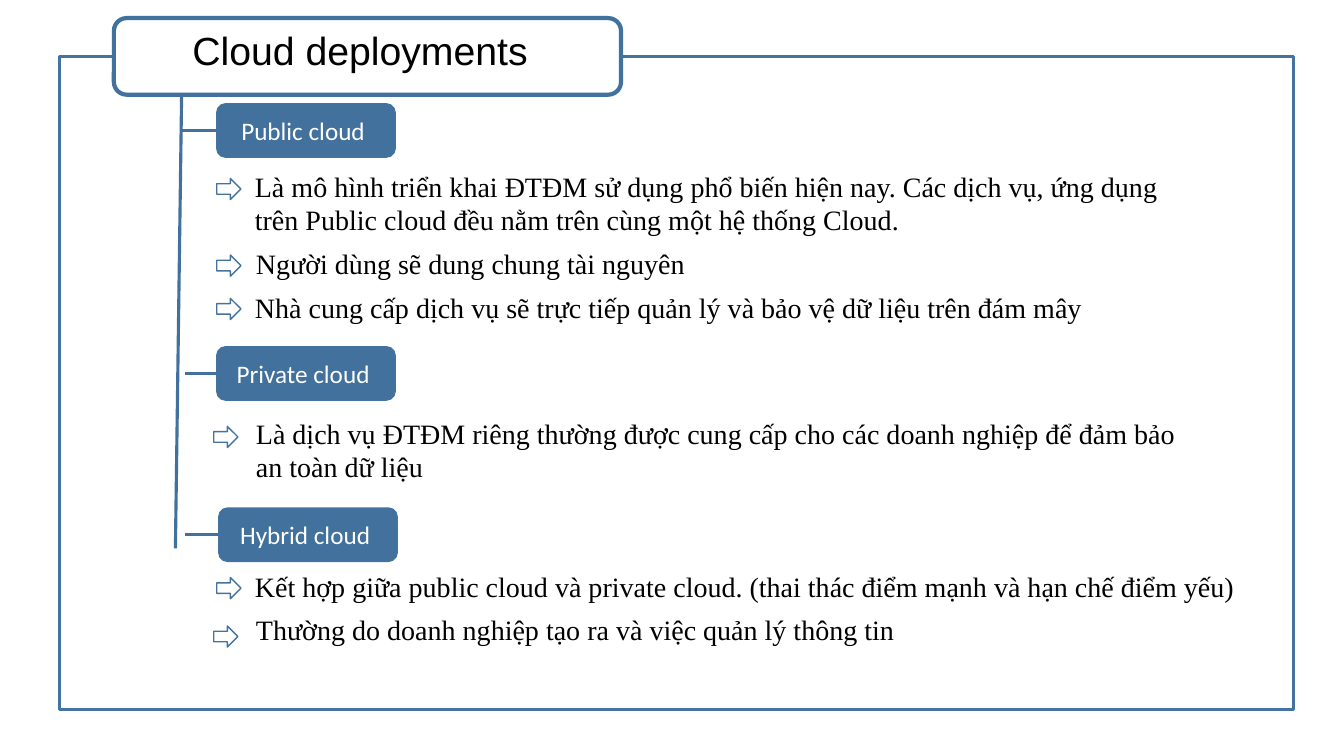
"""Build the slide on cloud deployment models."""
from lxml import etree
from pptx import Presentation
from pptx.dml.color import RGBColor
from pptx.enum.shapes import MSO_CONNECTOR as Link, MSO_SHAPE as Kind
from pptx.enum.text import MSO_ANCHOR as Anchor, MSO_AUTO_SIZE as Fit, PP_ALIGN as Align
from pptx.oxml.ns import qn
from pptx.util import Pt

PX = 9144
BLUE, EDGE, WHITE, BLACK = "41719C", "43739E", "FFFFFF", "000000"
TITLE = "Cloud deployments"
FRAME = (59, 56, 1224, 648)
HEAD = (113, 18, 503, 76)
TRUNK = (181, 31, 174, 544)

# label, (left, top), stub start, [(text, box, arrow left, arrow top)]
GROUPS = [
    ("Public cloud ", (215, 103), 181, [
        ("Là mô hình triển khai ĐTĐM sử dụng phổ biến hiện nay. Các dịch vụ, ứng dụng "
         "trên Public cloud đều nằm trên cùng một hệ thống Cloud.",
         (243, 163, 956, 77), 215, 177),
        ("Người dùng sẽ dung chung tài nguyên", (244, 240, 990, 44), 215, 253),
        ("Nhà cung cấp dịch vụ sẽ trực tiếp quản lý và bảo vệ dữ liệu trên đám mây",
         (243, 283, 990, 44), 215, 296),
    ]),
    ("Private cloud ", (215, 344), 183, [
        ("Là dịch vụ ĐTĐM riêng thường được cung cấp cho các doanh nghiệp để đảm bảo "
         "an toàn dữ liệu", (244, 408, 956, 77), 212, 423),
    ]),
    ("Hybrid cloud ", (217, 504), 184, [
        ("Kết hợp giữa public cloud và private cloud. "
         "(thai thác điểm mạnh và hạn chế điểm yếu)", (243, 560, 1021, 44), 215, 573),
        ("Thường do doanh nghiệp tạo ra và việc quản lý thông tin",
         (244, 603, 956, 44), 212, 621),
    ]),
]
LABEL = (177, 53)
ARROW = (24, 21)


def emu(box):
    return [int(n * PX) for n in box]


def rgb(code):
    return RGBColor.from_string(code)


def write(frame, text, size, font, color):
    run = frame.paragraphs[0].add_run()
    run.text = text
    run.font.size, run.font.name = Pt(size), font
    run.font.color.rgb = rgb(color)


def shape(kind, box, line, width, fill=None):
    item = slide.shapes.add_shape(kind, *emu(box))
    item.shadow.inherit = False
    item.line.color.rgb, item.line.width = rgb(line), Pt(width)
    if fill:
        item.fill.solid()
        item.fill.fore_color.rgb = rgb(fill)
    else:
        item.fill.background()
    return item


def link(ends):
    item = slide.shapes.add_connector(Link.STRAIGHT, *emu(ends))
    item.line.color.rgb, item.line.width = rgb(BLUE), Pt(2.25)
    etree.SubElement(item._element.spPr, qn("a:effectLst"))
    return item


def note(text, box, size, font, wrap=True):
    frame = slide.shapes.add_textbox(*emu(box)).text_frame
    frame.word_wrap, frame.auto_size = wrap, Fit.SHAPE_TO_FIT_TEXT
    write(frame, text, size, font, BLACK)


deck = Presentation()
deck.slide_width, deck.slide_height = emu((1333, 750))
slide = deck.slides.add_slide(deck.slide_layouts[6])

link(TRUNK)
shape(Kind.RECTANGLE, FRAME, EDGE, 2.25)
shape(Kind.ROUNDED_RECTANGLE, HEAD, BLUE, 3, WHITE)
note(TITLE, (181, 21, 357, 57), 28, "Arial", False)

for name, (left, top), start, points in GROUPS:
    label = shape(Kind.ROUNDED_RECTANGLE, (left, top, *LABEL), EDGE, 1, BLUE)
    frame = label.text_frame
    frame.vertical_anchor = Anchor.MIDDLE
    frame.paragraphs[0].alignment = Align.CENTER
    write(frame, name, 18, "Calibri", WHITE)
    mid = top + LABEL[1] / 2
    link((start, mid, left, mid)).end_connect(label, 1)
    for text, box, x, y in points:
        note(text, box, 20, "Times New Roman")
        shape(Kind.RIGHT_ARROW, (x, y, *ARROW), EDGE, 1)

deck.save("out.pptx")
